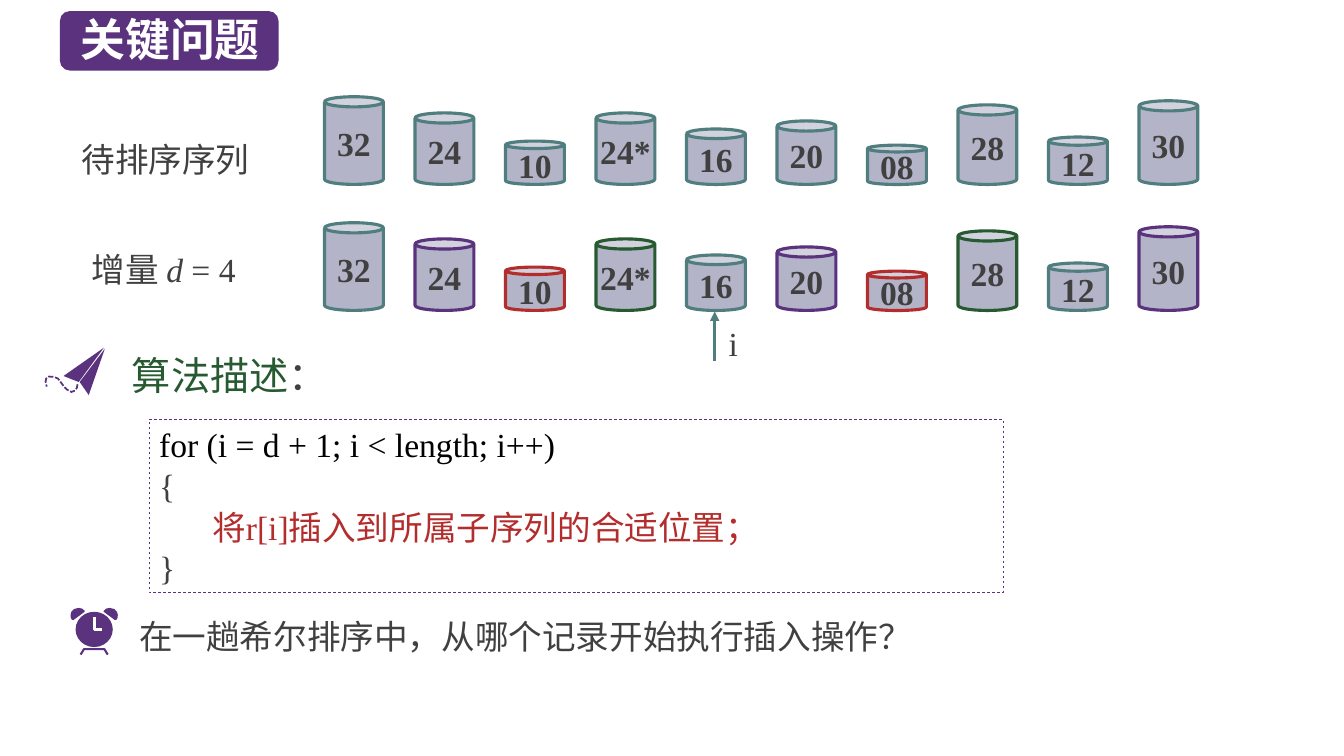
from pptx import Presentation
from pptx.dml.color import RGBColor
from pptx.enum.dml import MSO_LINE_DASH_STYLE as Dash
from pptx.enum.shapes import MSO_CONNECTOR as Link, MSO_SHAPE as Shape
from pptx.enum.text import MSO_ANCHOR as Anchor, PP_ALIGN as Align
from pptx.oxml.ns import qn
from pptx.util import Pt
from lxml.etree import SubElement

PURPLE = RGBColor(0x5A, 0x32, 0x7D)
TEAL = RGBColor(0x50, 0x7D, 0x7D)
RED = RGBColor(0xB4, 0x2D, 0x2D)
GREEN = RGBColor(0x28, 0x5A, 0x32)
LILAC = RGBColor(0xB4, 0xB4, 0xC8)
GREY = RGBColor(0x40, 0x40, 0x40)
BLACK = RGBColor(0, 0, 0)
WHITE = RGBColor(0xFF, 0xFF, 0xFF)
SERIF, SANS = "Times New Roman", "Noto Sans CJK SC"

KEYS = ["32", "24", "10", "24*", "16", "20", "08", "28", "12", "30"]
GROUPS = [TEAL, PURPLE, RED, GREEN]
LEFT, STEP, WIDTH = 231.84, 64.64, 42


def paint(shape, fill=None, line=None, width=1, dash=None):
    shape.shadow.inherit = False
    if fill is None:
        shape.fill.background()
    else:
        shape.fill.solid()
        shape.fill.fore_color.rgb = fill
    if line is None:
        shape.line.fill.background()
    else:
        shape.line.color.rgb = line
        shape.line.width = Pt(width)
        if dash:
            shape.line.dash_style = dash
    return shape


def add(slide, kind, box, **look):
    return paint(slide.shapes.add_shape(kind, *map(Pt, box)), **look)


def trace(slide, points, close=True, **look):
    start, *rest = [(Pt(x), Pt(y)) for x, y in points]
    path = slide.shapes.build_freeform(*start)
    path.add_line_segments(rest, close=close)
    return paint(path.convert_to_shape(), **look)


def write(shape, *runs, size=24, font=SERIF, color=GREY, bold=False, align=Align.LEFT,
          anchor=Anchor.TOP, wrap=True, before=0, lines=None):
    """Append one paragraph; a run is a text or a (text, color, italic) tuple."""
    frame = shape.text_frame
    frame.word_wrap, frame.vertical_anchor = wrap, anchor
    para = frame.paragraphs[0] if not frame.text else frame.add_paragraph()
    para.alignment, para.space_before = align, Pt(before)
    if lines:
        para.line_spacing = lines
    for item in runs:
        text, tint, slant = (item, color, False) if isinstance(item, str) else item
        run = para.add_run()
        run.text = text
        face = run.font
        face.size, face.name, face.bold, face.italic = Pt(size), font, bold, slant
        face.color.rgb = tint
        SubElement(run._r.get_or_add_rPr(), qn("a:ea")).set("typeface", SANS)


def label(slide, box, *runs, **style):
    shape = slide.shapes.add_textbox(*map(Pt, box))
    write(shape, *runs, **style)
    return shape


def row(slide, base, colors):
    """Stand the cans on one base line, each as tall as its key asks."""
    for i, key in enumerate(KEYS):
        tall = 16.56 + 1.44 * int(key.strip("*"))
        can = add(slide, Shape.CAN, (LEFT + i * STEP, base - tall, WIDTH, tall),
                  fill=LILAC, line=colors[i % len(colors)], width=2.25)
        can.adjustments[0] = 0.173
        write(can, key, bold=True, align=Align.CENTER, anchor=Anchor.MIDDLE, wrap=False)


def arrow(slide, start, end):
    link = slide.shapes.add_connector(Link.STRAIGHT, *map(Pt, start + end))
    link.line.color.rgb, link.line.width = TEAL, Pt(2.25)
    SubElement(link.line._get_or_add_ln(), qn("a:tailEnd")).set("type", "triangle")
    SubElement(link._element.spPr, qn("a:effectLst"))


def clock(slide):
    axis = 67.3
    ear = [(56.2, 434.2), (52.9, 435), (51, 437), (50.4, 439.2), (50.6, 441.4),
           (51.5, 442.8), (52.6, 442.8), (60.5, 437), (60.5, 436.3), (58.7, 434.7)]
    trace(slide, [(57.6, 467.6), (60, 463.7), (74.6, 463.7), (77, 467.6)],
          close=False, line=PURPLE, width=1.5)
    trace(slide, ear, fill=PURPLE)
    trace(slide, [(2 * axis - x, y) for x, y in ear], fill=PURPLE)
    add(slide, Shape.OVAL, (axis - 13.3, 437, 26.6, 25.2), fill=PURPLE)
    trace(slide, [(axis, 440.8), (axis, 449.8), (72.6, 449.8)],
          close=False, line=WHITE, width=2)


def plane(slide):
    trace(slide, [(74.9, 249.1), (63.4, 282.2), (56.9, 272.9)], fill=PURPLE)
    trace(slide, [(74.2, 248.4), (56.2, 272.9), (45.4, 268.6)], fill=PURPLE)
    trail = [(55.4, 274.5), (55, 277), (53.6, 279), (51.1, 280), (48, 278.4), (45.7, 276.1),
             (43.6, 273.2), (41.4, 270.4), (38.5, 269.2), (35, 269), (33, 270.4),
             (32.6, 272.6), (33.4, 276.2)]
    trace(slide, trail, close=False, line=PURPLE, width=1.25, dash=Dash.SQUARE_DOT)


def main():
    deck = Presentation()
    deck.slide_width, deck.slide_height = Pt(960), Pt(540)
    slide = deck.slides.add_slide(deck.slide_layouts[6])

    add(slide, Shape.ROUNDED_RECTANGLE, (42.8, 7.9, 156.2, 42.5), fill=PURPLE)
    label(slide, (50.4, 5, 147, 46), "关键问题", size=32, font=SANS, color=WHITE, bold=True)

    row(slide, 131.76, [TEAL])
    label(slide, (51.1, 95.8, 148.3, 36), "待排序序列", anchor=Anchor.MIDDLE)
    label(slide, (58.3, 174.2, 131, 36), "增量 ", ("d", GREY, True), " = 4",
          anchor=Anchor.MIDDLE)
    row(slide, 221.76, GROUPS)
    arrow(slide, (510.5, 257.8), (510.5, 222.5))
    label(slide, (513.4, 226.8, 22.3, 36), "i")

    plane(slide)
    label(slide, (87.1, 247.7, 207.4, 41), ("算法描述", GREEN, False), "：",
          size=28, font=SANS)

    code = add(slide, Shape.RECTANGLE, (106.6, 299.5, 609.8, 123.8),
               line=PURPLE, width=0.5, dash=Dash.DASH)
    write(code, "for (i = d + 1; i < length; i++)", color=BLACK)
    write(code, "{")
    write(code, "}", before=30)
    step = label(slide, (106.6, 358.6, 609.8, 36), "将r[i]插入到所属子序列的合适位置；",
                 color=RED)
    step.text_frame.margin_left = Pt(45)

    clock(slide)
    label(slide, (92.2, 427.7, 613.4, 45.4),
          "在一趟希尔排序中，从哪个记录开始执行插入操作？", lines=1.3)
    deck.save("out.pptx")


if __name__ == "__main__":
    main()
